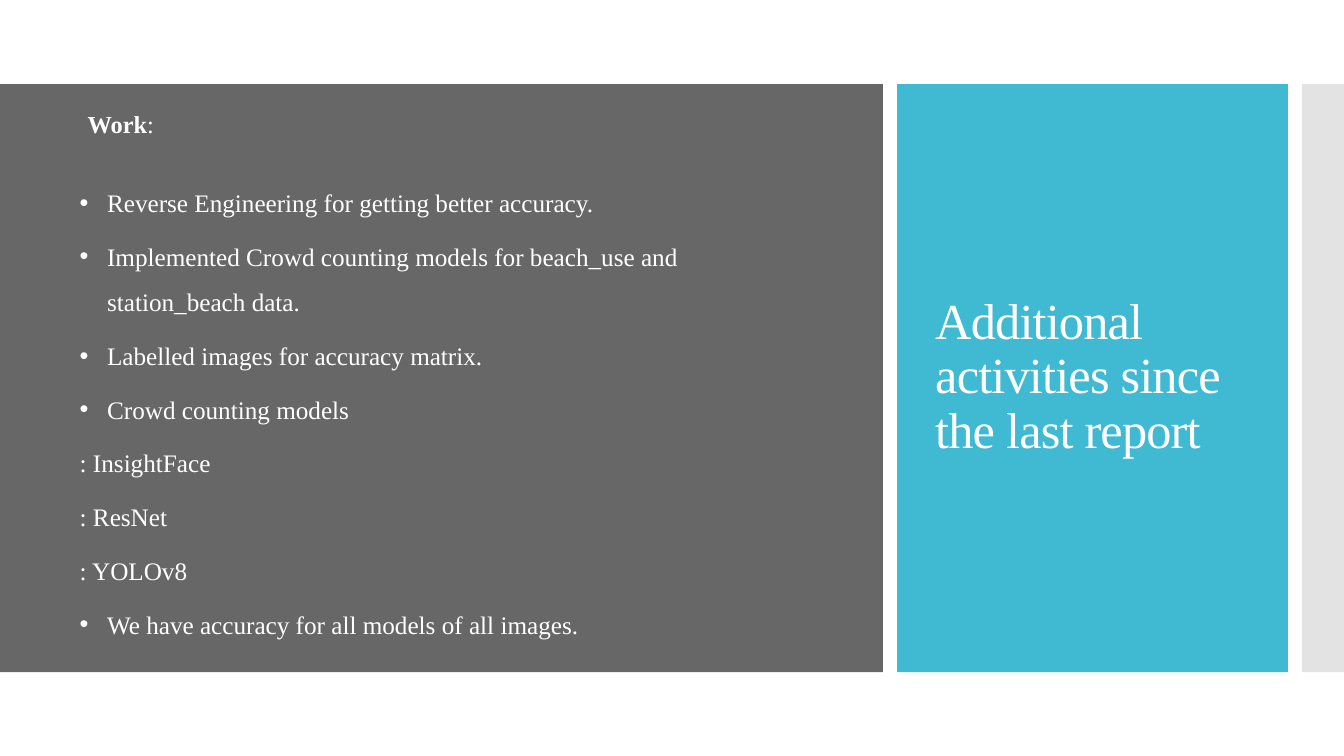
from lxml import etree
from pptx import Presentation
from pptx.dml.color import RGBColor
from pptx.enum.shapes import MSO_SHAPE
from pptx.enum.text import MSO_ANCHOR
from pptx.oxml.ns import qn
from pptx.util import Cm, Pt

RECT = MSO_SHAPE.RECTANGLE
TOP, MIDDLE, BOTTOM = MSO_ANCHOR.TOP, MSO_ANCHOR.MIDDLE, MSO_ANCHOR.BOTTOM

TITLE = "Additional activities since the last report"
HEAD = ("Work", ":")
# text, bulleted
ITEMS = [
    ("Reverse Engineering for getting better accuracy.", True),
    ("Implemented Crowd counting models for beach_use and station_beach data.", True),
    ("Labelled images for accuracy matrix.", True),
    ("Crowd counting models", True),
    (": InsightFace", False),
    (": ResNet", False),
    (": YOLOv8", False),
    ("We have accuracy for all models of all images.", True),
]

THEME = {
    "font": "Times New Roman",
    "white": RGBColor(0xFF, 0xFF, 0xFF),
    "gray": RGBColor(0x67, 0x67, 0x67),
    "blue": RGBColor(0x40, 0xBA, 0xD2),
    "pale": RGBColor(0xC8, 0xC8, 0xC8),
    "title": Pt(36),
    "head": Pt(17.4),
    "body": Pt(18),
}

WIDE, HIGH = 33.87, 19.05
BAND_TOP, BAND_HIGH = 2.12, 14.82
# left, width, colour, opacity in percent
PANELS = [
    (0, 22.25, "gray", 100),
    (22.61, 9.85, "blue", 100),
    (32.81, WIDE - 32.81, "pale", 50),
]
INDENT = Cm(0.69)


def add_panel(slide, left, width, colour, opacity):
    panel = slide.shapes.add_shape(
        RECT, Cm(left), Cm(BAND_TOP), Cm(width), Cm(BAND_HIGH))
    panel.shadow.inherit = False
    panel.line.fill.background()
    panel.fill.solid()
    panel.fill.fore_color.rgb = THEME[colour]
    if opacity < 100:
        tint = panel.fill._xPr.find(".//" + qn("a:srgbClr"))
        etree.SubElement(tint, qn("a:alpha")).set("val", str(opacity * 1000))


def add_frame(slide, box, anchor, inset=True):
    """Add a wrapping text box and return its text frame."""
    frame = slide.shapes.add_textbox(*map(Cm, box)).text_frame
    frame.word_wrap = True
    frame.vertical_anchor = anchor
    if not inset:
        frame.margin_left = frame.margin_right = 0
        frame.margin_top = frame.margin_bottom = 0
    return frame


def style(run, size, bold=False):
    run.font.name = THEME["font"]
    run.font.size = THEME[size]
    run.font.color.rgb = THEME["white"]
    run.font.bold = bold


def add_bullet(para):
    props = para._p.get_or_add_pPr()
    props.set("marL", str(INDENT))
    props.set("indent", str(-INDENT))
    etree.SubElement(props, qn("a:buFont")).set("typeface", "Arial")
    etree.SubElement(props, qn("a:buChar")).set("char", "•")


def add_title(slide):
    para = add_frame(slide, (23.32, 3.12, 8.18, 12.78), MIDDLE).paragraphs[0]
    para.text = TITLE
    para.line_spacing = 0.9
    run = para.runs[0]
    style(run, "title")
    run.font._element.set("spc", "-60")


def add_head(slide):
    frame = add_frame(slide, (2.21, 2.74, 12.52, 0.76), BOTTOM, inset=False)
    para = frame.paragraphs[0]
    para.space_after = Pt(6)
    for text, bold in zip(HEAD, (True, False)):
        run = para.add_run()
        run.text = text
        style(run, "head", bold)


def add_items(slide):
    frame = add_frame(slide, (2.01, 4.34, 17.68, 11.73), TOP, inset=False)
    frame.text = "\n".join(text for text, _ in ITEMS)
    for para, (_, marked) in zip(frame.paragraphs, ITEMS):
        para.line_spacing = 1.5
        para.space_after = Pt(6)
        if marked:
            add_bullet(para)
        style(para.runs[0], "body")


def main():
    deck = Presentation()
    deck.slide_width, deck.slide_height = Cm(WIDE), Cm(HIGH)
    slide = deck.slides.add_slide(deck.slide_layouts[6])
    for panel in PANELS:
        add_panel(slide, *panel)
    add_title(slide)
    add_head(slide)
    add_items(slide)
    deck.save("out.pptx")


if __name__ == "__main__":
    main()
